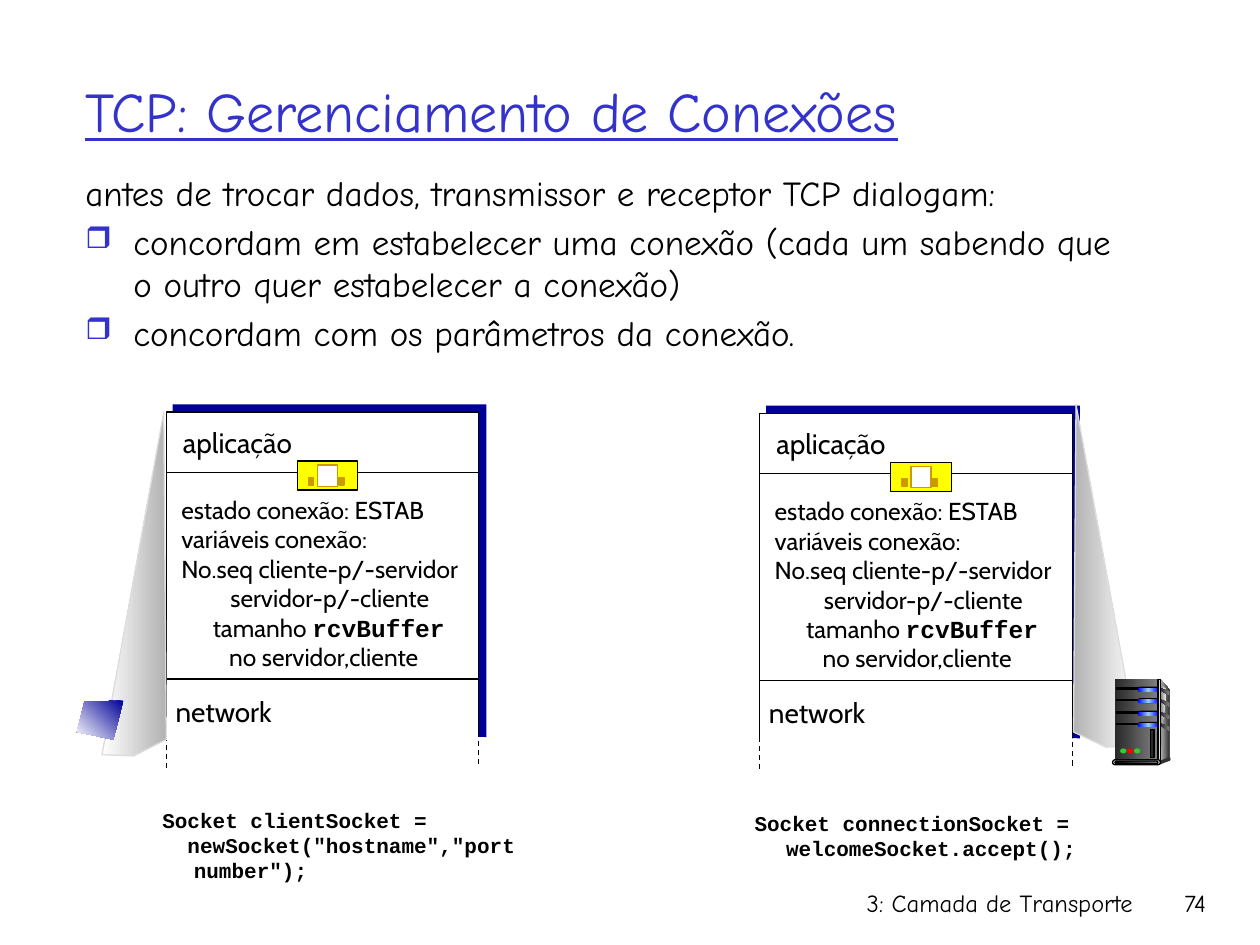
from copy import deepcopy

from lxml import etree
from pptx import Presentation
from pptx.dml.color import RGBColor
from pptx.enum.dml import MSO_LINE
from pptx.enum.shapes import MSO_CONNECTOR, MSO_SHAPE
from pptx.enum.text import MSO_ANCHOR, PP_ALIGN
from pptx.oxml.ns import qn
from pptx.util import Cm, Pt

RECT, PILL, OVAL = MSO_SHAPE.RECTANGLE, MSO_SHAPE.ROUNDED_RECTANGLE, MSO_SHAPE.OVAL
CENTER, RIGHT = PP_ALIGN.CENTER, PP_ALIGN.RIGHT
INCH = 2.54  # cm; the layout below is laid out in inches

HEAD = "TCP: Gerenciamento de Conexões"
INTRO = "antes de trocar dados, transmissor e receptor TCP dialogam:"
POINTS = [
    "concordam em estabelecer uma conexão (cada um sabendo que o outro quer estabelecer a conexão)",
    "concordam com os parâmetros da conexão.",
]
# (left indent, pieces of text); the second piece is code
STATE = [
    (0, ["estado conexão: ESTAB"]),
    (0, ["variáveis conexão:"]),
    (0, ["No.seq cliente-p/-servidor"]),
    (0.39, ["servidor-p/-cliente"]),
    (0.25, ["tamanho ", "rcvBuffer"]),
    (0.38, ["no servidor,cliente"]),
]
CODES = [
    ((1.19, 6.36, 3.16, 0.7), ["Socket clientSocket =", '  newSocket("hostname","port number");']),
    ((5.89, 6.38, 3.16, 0.5), ["Socket connectionSocket = welcomeSocket.accept();"]),
]
FOOT = [((5.92, 7, 3.17, 0.5), "3: Camada de Transporte"), ((8.93, 7, 0.74, 0.5), "74")]

PANELS = [(1.32, 3.27), (6.03, 3.28)]
WEDGES = [
    ([(0.81, 5.99), (1.3, 3.27), (1.32, 5.87), (1.06, 6)], 180),
    ([(9.03, 5.92), (8.54, 3.21), (8.52, 5.81), (8.78, 5.93)], 0),
]
LAPTOP = [(0.98, 5.56), (0.67, 5.57), (0.61, 5.81), (0.9, 5.87)]

BLACK, WHITE, BLUE, NAVY, GOLD = "000000", "FFFFFF", "3333CC", "000099", "CC9900"
DARK, SLATE, GRAY, PALE = "292929", "333333", "808080", "DDDDDD"
STEEL, GLOW = [DARK, GRAY], ["0000FF", "99CCFF", "0000FF"]

TITLE = {"name": "Comic Neue", "size": Pt(32), "underline": True}
BODY = {"name": "Comic Neue", "size": Pt(20)}
SMALL = {"name": "Comic Neue", "size": Pt(14)}
LABEL = {"name": "Cabin", "size": Pt(16)}
NOTE = {"name": "Cabin", "size": Pt(14)}
MONO = {"name": "Courier New", "size": Pt(14), "bold": True}
CODE = {"name": "Courier New", "size": Pt(12), "bold": True}


def inch(num):
    return Cm(num * INCH)


def color(code):
    return RGBColor.from_string(code)


def paint(shape, fill, line=None, angle=0):
    """Fill with one colour, or with a list of colours as a gradient."""
    shape.shadow.inherit = False
    if isinstance(fill, str):
        shape.fill.solid()
        shape.fill.fore_color.rgb = color(fill)
    else:
        shape.fill.gradient()
        shape.fill.gradient_angle = angle
        stops = shape._element.spPr.find(".//" + qn("a:gsLst"))
        while len(stops) < len(fill):
            stops.append(deepcopy(stops[0]))
        for num, (stop, tint) in enumerate(zip(shape.fill.gradient_stops, fill)):
            stop.position = num / (len(fill) - 1)
            stop.color.rgb = color(tint)
    if line:
        shape.line.color.rgb = color(line)
        shape.line.width = Pt(0.75)
    else:
        shape.line.fill.background()


def block(where, box, fill, line=None, kind=RECT):
    shape = where.add_shape(kind, *map(inch, box))
    if kind == PILL:
        shape.adjustments[0] = 0.5
    paint(shape, fill, line)


def outline(where, points, fill, line=None, angle=0):
    first, *rest = [(inch(x), inch(y)) for x, y in points]
    form = where.build_freeform(*first)
    form.add_line_segments(rest, close=True)
    paint(form.convert_to_shape(), fill, line, angle)


def rule(where, x1, y1, x2, y2, dash=None):
    line = where.add_connector(MSO_CONNECTOR.STRAIGHT, *map(inch, (x1, y1, x2, y2)))
    line.line.color.rgb = color(BLACK)
    line.line.width = Pt(0.75)
    line.line.dash_style = dash
    etree.SubElement(line._element.spPr, qn("a:effectLst"))


def frame(where, box, wrap=True):
    text = where.add_textbox(*map(inch, box)).text_frame
    text.word_wrap = wrap
    return text


def write(text, words, style, tint=BLACK, align=None, left=0, hang=0, bullet=None, gap=0):
    """Add a paragraph, using the empty first one if there is one."""
    para = text.paragraphs[0]
    if para.runs:
        para = text.add_paragraph()
    props = para._p.get_or_add_pPr()
    props.set("marL", str(inch(left)))
    props.set("indent", str(-inch(hang)))
    para.space_before = Pt(gap)
    para.alignment = align
    if bullet:
        shade = etree.SubElement(props, qn("a:buClr"))
        etree.SubElement(shade, qn("a:srgbClr"), val=BLUE)
        etree.SubElement(props, qn("a:buSzPct"), val="85000")
        etree.SubElement(props, qn("a:buChar"), char=bullet)
    for piece, look in zip(words, (style, MONO)):
        run = para.add_run()
        run.text = piece
        for key, value in look.items():
            setattr(run.font, key, value)
        run.font.color.rgb = color(tint)


def panel(where, x, y):
    block(where, (x + 0.05, y - 0.06, 2.49, 2.64), NAVY)
    block(where, (x, y, 2.48, 2.7), WHITE, BLACK)
    rule(where, x, y + 0.48, x + 2.48, y + 0.48)
    text = frame(where, (x + 0.02, y + 0.61, 2.55, 1.51))
    for left, words in STATE:
        write(text, words, NOTE, left=left)
    plug = where.add_group_shape().shapes
    block(plug, (x + 1.04, y + 0.39, 0.48, 0.23), "FFFF00", BLACK)
    block(plug, (x + 1.2, y + 0.42, 0.16, 0.17), WHITE, GOLD)
    for side in (1.37, 1.13):
        block(plug, (x + side, y + 0.52, 0.04, 0.06), GOLD, GOLD)
    rule(where, x, y + 2.12, x + 2.48, y + 2.12)
    for word, left, top, wide in (("aplicação", 0.01, 0.06, 1.11), ("network", -0.04, 2.19, 0.99)):
        write(frame(where, (x + left, y + top, wide, 0.37), False), [word], LABEL, align=CENTER)
    block(where, (x - 0.03, y + 2.58, 2.55, 0.2), WHITE)
    for side, top in ((0, 2.57), (2.48, 2.54)):
        rule(where, x + side, y + top, x + side, y + top + 0.26, MSO_LINE.DASH)


def server(where):
    outline(where, [(9.21, 5.39), (9.28, 5.47), (9.28, 6.01), (9.19, 6.04)], [PALE, SLATE])
    block(where, (8.85, 5.39, 0.34, 0.65), STEEL)
    outline(where, [(9.21, 5.43), (9.26, 5.48), (9.22, 5.8), (9.21, 6.02)], [GRAY, "F8F8F8"])
    for bay in range(4):
        y = 5.45 + bay * 0.09 + (bay > 1) * 0.01
        block(where, (8.86, y + 0.01, 0.19, 0.01), BLACK, BLACK)
        block(where, (9.03, y, 0.18, 0.04), BLACK, kind=PILL)
        block(where, (9.03, y + 0.01, 0.17, 0.03), GLOW, kind=PILL)
        outline(where, [(9.21, y + 0.01), (9.28, y + 0.04), (9.28, y + 0.07), (9.21, y + 0.03)], STEEL)
    block(where, (9.19, 5.39, 0.02, 0.65), [SLATE, PALE, SLATE], BLACK)
    block(where, (9.27, 6.01, 0.02, 0.03), SLATE, kind=OVAL)
    outline(where, [(9.2, 6.04), (9.2, 6.07), (9.28, 6.04), (9.28, 6.01)], SLATE)
    block(where, (8.83, 6.03, 0.38, 0.04), PALE, BLACK, PILL)
    block(where, (8.85, 6.04, 0.34, 0.02), [BLACK, GRAY], BLACK, PILL)
    for num, tint in enumerate(("33CC33", "FF0000", "33CC33")):
        block(where, (8.89 + num * 0.055, 5.94, 0.05, 0.04), tint, kind=OVAL)
    block(where, (9.13, 5.79, 0.03, 0.22), DARK, BLACK)


def main():
    deck = Presentation()
    deck.slide_width, deck.slide_height = inch(10), inch(7.5)
    where = deck.slides.add_slide(deck.slide_layouts[6]).shapes

    text = frame(where, (0.58, 0.25, 8.5, 1.25))
    text.vertical_anchor = MSO_ANCHOR.MIDDLE
    write(text, [HEAD], TITLE, BLUE)
    text = frame(where, (0.58, 1.31, 8.5, 1.68))
    write(text, [INTRO], BODY, left=0.38, hang=0.38)
    for point in POINTS:
        write(text, [point], BODY, left=0.38, hang=0.38, bullet="❒", gap=4)

    for spot, (points, angle) in zip(PANELS, WEDGES):
        panel(where, *spot)
        outline(where, points, ["B2B2B2", WHITE], PALE, angle)
    for box, lines in CODES:
        text = frame(where, box)
        for line in lines:
            write(text, [line], CODE, left=0.25, hang=0.25)
    outline(where, LAPTOP, [NAVY, WHITE], angle=225)
    server(where.add_group_shape().shapes)
    for box, word in FOOT:
        write(frame(where, box), [word], SMALL, align=RIGHT)
    deck.save("out.pptx")


if __name__ == "__main__":
    main()
